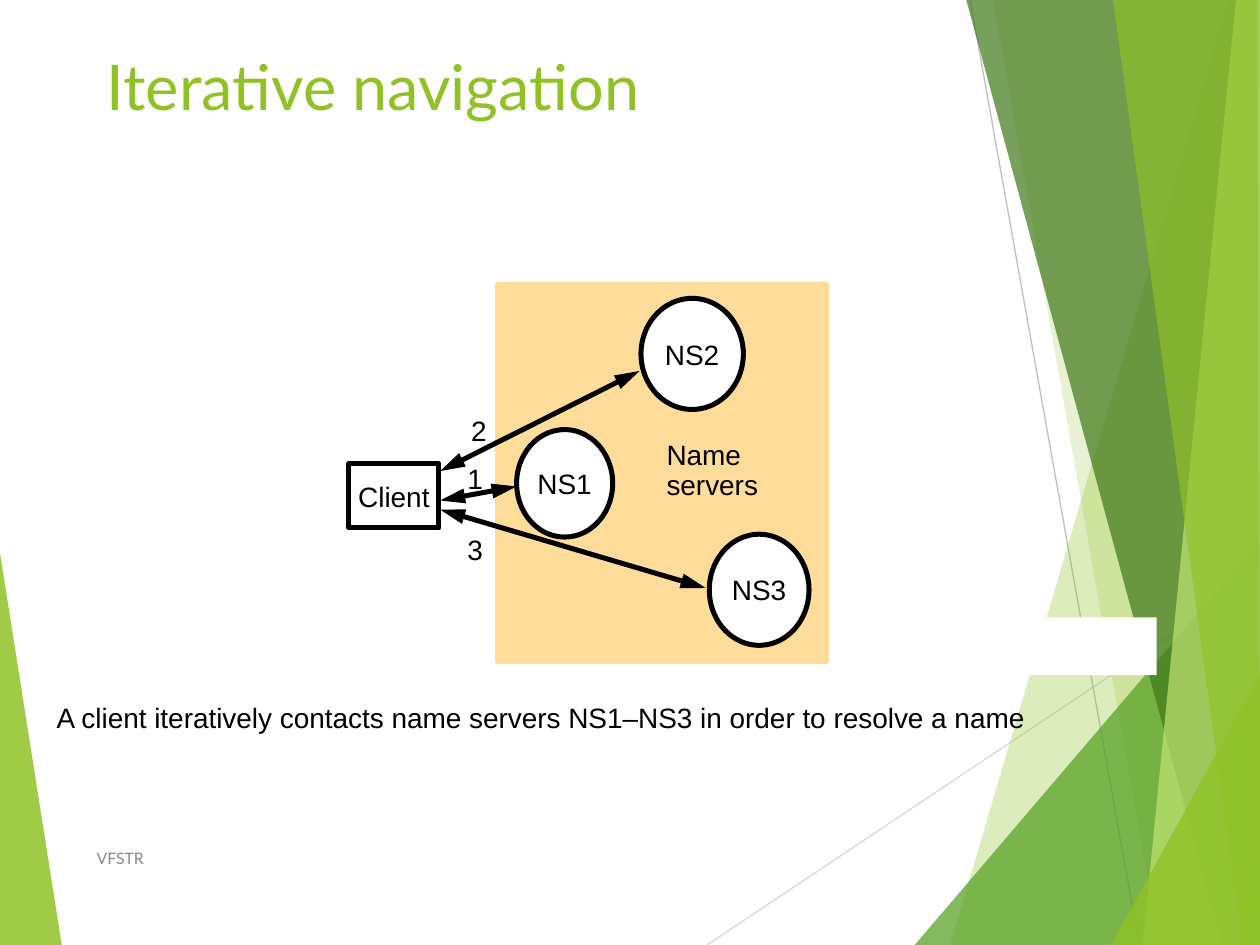
from dataclasses import dataclass

from lxml.etree import SubElement
from pptx import Presentation
from pptx.dml.color import RGBColor
from pptx.enum.shapes import MSO_CONNECTOR, MSO_SHAPE
from pptx.enum.text import MSO_ANCHOR, PP_ALIGN
from pptx.oxml.ns import qn
from pptx.util import Pt


@dataclass(frozen=True)
class Theme:
    green: str = "90C226"
    white: str = "FFFFFF"
    black: str = "000000"
    panel: str = "FFDC99"
    muted: str = "898989"
    heading_font: str = "Lato"
    body_font: str = "Arial"
    title_size: float = 36
    body_size: float = 16
    footer_size: float = 9
    stroke: float = 2.86
    hairline: float = 0.75


THEME = Theme()
WIDTH, HEIGHT = 720, 540

# Colour, opacity in percent, corners
LEFT_FACET = (THEME.green, 85, [(0, 316), (35.3, HEIGHT), (0, HEIGHT)])
RIGHT_FACETS = [
    (THEME.green, 30, [(702, 0), (543, HEIGHT), (WIDTH, HEIGHT), (WIDTH, 0)]),
    (THEME.green, 20, [(567.4, 0), (662.4, HEIGHT), (WIDTH, HEIGHT), (WIDTH, 0)]),
    ("54A021", 72, [(522.7, HEIGHT), (WIDTH, 309), (WIDTH, HEIGHT)]),
    ("3F7819", 70, [(552.2, 0), (698.4, HEIGHT), (WIDTH, HEIGHT), (WIDTH, 0)]),
    ("C0E474", 70, [(706.3, 0), (653, HEIGHT), (WIDTH, HEIGHT), (WIDTH, 0)]),
    (THEME.green, 65, [(636, 0), (710, HEIGHT), (WIDTH, HEIGHT), (718.6, 0)]),
    (THEME.green, 80, [(635, HEIGHT), (WIDTH, 385.2), (WIDTH, HEIGHT)]),
]
# Colour, start, end
HAIRLINES = [
    ("D9D9D9", (404, HEIGHT), (WIDTH, 329)),
    ("BFBFBF", (554.4, 0), (651, HEIGHT)),
]

# Text, left, top, width, height
SERVERS = [
    ("NS1", 295.2, 245.5, 54.9, 61.4),
    ("NS2", 366.3, 170.5, 58.5, 63.5),
    ("NS3", 405.3, 305.3, 57, 63.5),
]
CLIENT = ("Client", 199.4, 265, 51.4, 36.7)
# Step, label position, client end, server end
STEPS = [
    ("1", (267.1, 263.5), (251.5, 286), (295.2, 278)),
    ("2", (269.3, 236.2), (251.5, 269.2), (365.5, 212)),
    ("3", (267.1, 304.6), (251.5, 291.2), (403.2, 336)),
]


def rgb(colour):
    return RGBColor.from_string(colour)


def paint(shape, fill=None, line=None):
    shape.shadow.inherit = False
    if fill:
        shape.fill.solid()
        shape.fill.fore_color.rgb = rgb(fill)
    else:
        shape.fill.background()
    if line:
        shape.line.color.rgb = rgb(line)
        shape.line.width = Pt(THEME.stroke)
    else:
        shape.line.fill.background()


def add_preset(slide, preset, box, fill=None, line=None):
    shape = slide.shapes.add_shape(preset, *map(Pt, box))
    paint(shape, fill, line)
    return shape


def add_facet(slide, colour, opacity, corners):
    points = [(Pt(x), Pt(y)) for x, y in corners]
    builder = slide.shapes.build_freeform(*points[0], scale=1.0)
    builder.add_line_segments(points[1:], close=True)
    shape = builder.convert_to_shape()
    paint(shape, colour)
    colour_element = shape._element.spPr.find(qn("a:solidFill"))[0]
    SubElement(colour_element, qn("a:alpha"), val=str(opacity * 1000))


def add_line(slide, start, end, colour, width, arrows=False):
    connector = slide.shapes.add_connector(
        MSO_CONNECTOR.STRAIGHT, *map(Pt, start + end))
    connector.line.color.rgb = rgb(colour)
    connector.line.width = Pt(width)
    if arrows:
        line = connector.line._get_or_add_ln()
        for tag in ("a:headEnd", "a:tailEnd"):
            SubElement(line, qn(tag), type="triangle", w="med", len="lg")
    SubElement(connector._element.spPr, qn("a:effectLst"))


def write(shape, lines, size=THEME.body_size, font=THEME.body_font,
          colour=THEME.black, align=PP_ALIGN.LEFT, anchor=MSO_ANCHOR.TOP,
          insets=(0, 0), wrap=False, spacing=None):
    """Fill a shape with one paragraph per line; insets are horizontal, vertical."""
    frame = shape.text_frame
    frame.word_wrap = wrap
    frame.vertical_anchor = anchor
    frame.margin_left = frame.margin_right = Pt(insets[0])
    frame.margin_top = frame.margin_bottom = Pt(insets[1])
    frame.text = "\n".join(lines)
    for paragraph in frame.paragraphs:
        paragraph.alignment = align
        if spacing:
            paragraph.line_spacing = Pt(spacing)
        paragraph.font.size = Pt(size)
        paragraph.font.name = font
        paragraph.font.color.rgb = rgb(colour)


def add_text(slide, box, *lines, **style):
    write(slide.shapes.add_textbox(*map(Pt, box)), lines, **style)


def add_node(slide, preset, text, *box, fill=None):
    shape = add_preset(slide, preset, box, fill, THEME.black)
    write(shape, [text], align=PP_ALIGN.CENTER, anchor=MSO_ANCHOR.MIDDLE)


def add_background(slide):
    add_facet(slide, *LEFT_FACET)
    for colour, start, end in HAIRLINES:
        add_line(slide, start, end, colour, THEME.hairline)
    for facet in RIGHT_FACETS:
        add_facet(slide, *facet)


def add_diagram(slide):
    add_preset(slide, MSO_SHAPE.RECTANGLE, (284.4, 162.7, 186.5, 213.8), THEME.panel)
    add_preset(slide, MSO_SHAPE.RECTANGLE, (284.4, 162.7, 188, 215.3), line=THEME.panel)
    for server in SERVERS:
        add_node(slide, MSO_SHAPE.OVAL, *server, fill=THEME.white)
    add_node(slide, MSO_SHAPE.RECTANGLE, *CLIENT)
    for step, position, client_end, server_end in STEPS:
        add_line(slide, client_end, server_end, THEME.black, THEME.stroke, arrows=True)
        add_text(slide, (*position, 8.9, 19.4), step)
    add_text(slide, (380.9, 252, 52.6, 36.7), "Name", "servers", spacing=17.3)
    add_text(slide, (32.4, 400.3, 554.4, 19.4),
             "A client iteratively contacts name servers NS1–NS3 "
             "in order to resolve a name")


def main():
    presentation = Presentation()
    presentation.slide_width, presentation.slide_height = Pt(WIDTH), Pt(HEIGHT)
    slide = presentation.slides.add_slide(presentation.slide_layouts[6])
    add_background(slide)
    add_text(slide, (54, 23.8, 612, 90), "Iterative navigation",
             size=THEME.title_size, font=THEME.heading_font, colour=THEME.green,
             insets=(7.2, 3.6), wrap=True)
    add_preset(slide, MSO_SHAPE.RECTANGLE, (43.2, 352.8, 617.8, 33.1), THEME.white)
    add_diagram(slide)
    add_text(slide, (48.2, 475.9, 364.3, 28.8), "VFSTR",
             size=THEME.footer_size, font=THEME.heading_font, colour=THEME.muted,
             anchor=MSO_ANCHOR.MIDDLE, insets=(7.2, 3.6), wrap=True)
    presentation.save("out.pptx")


if __name__ == "__main__":
    main()
